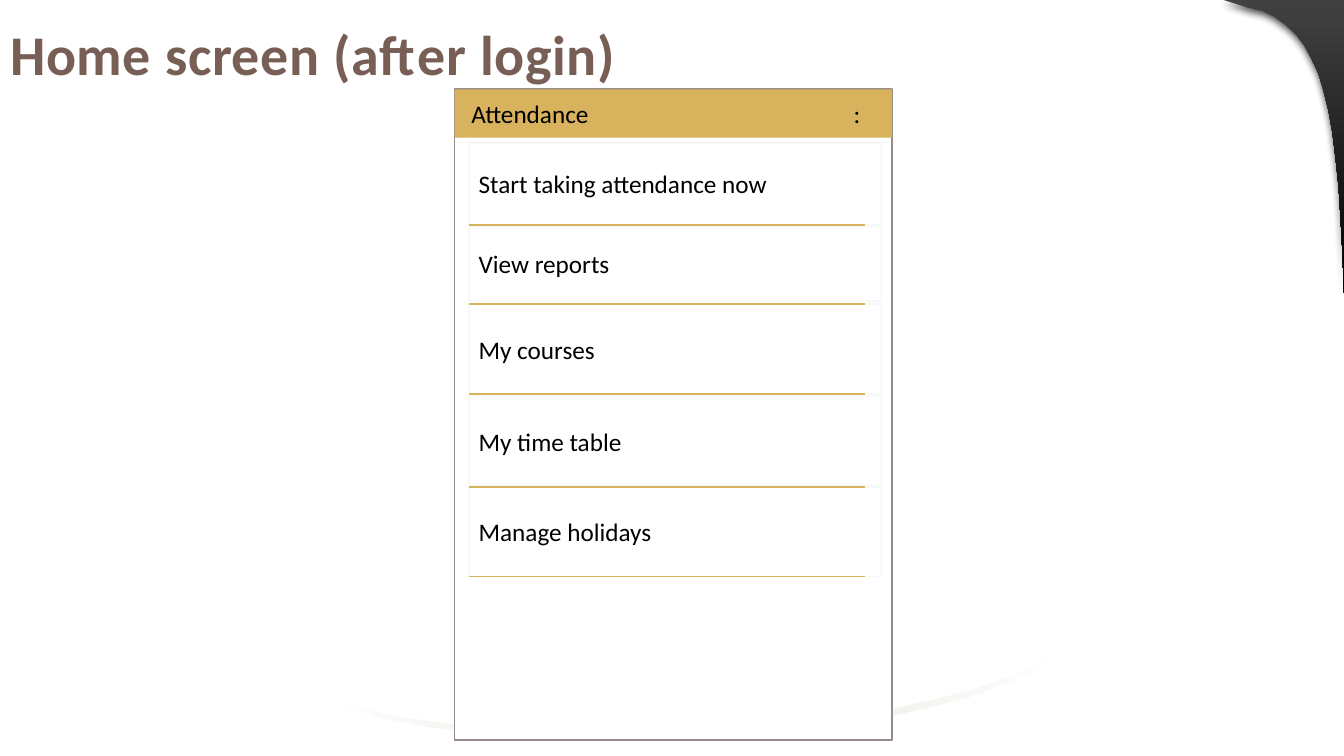
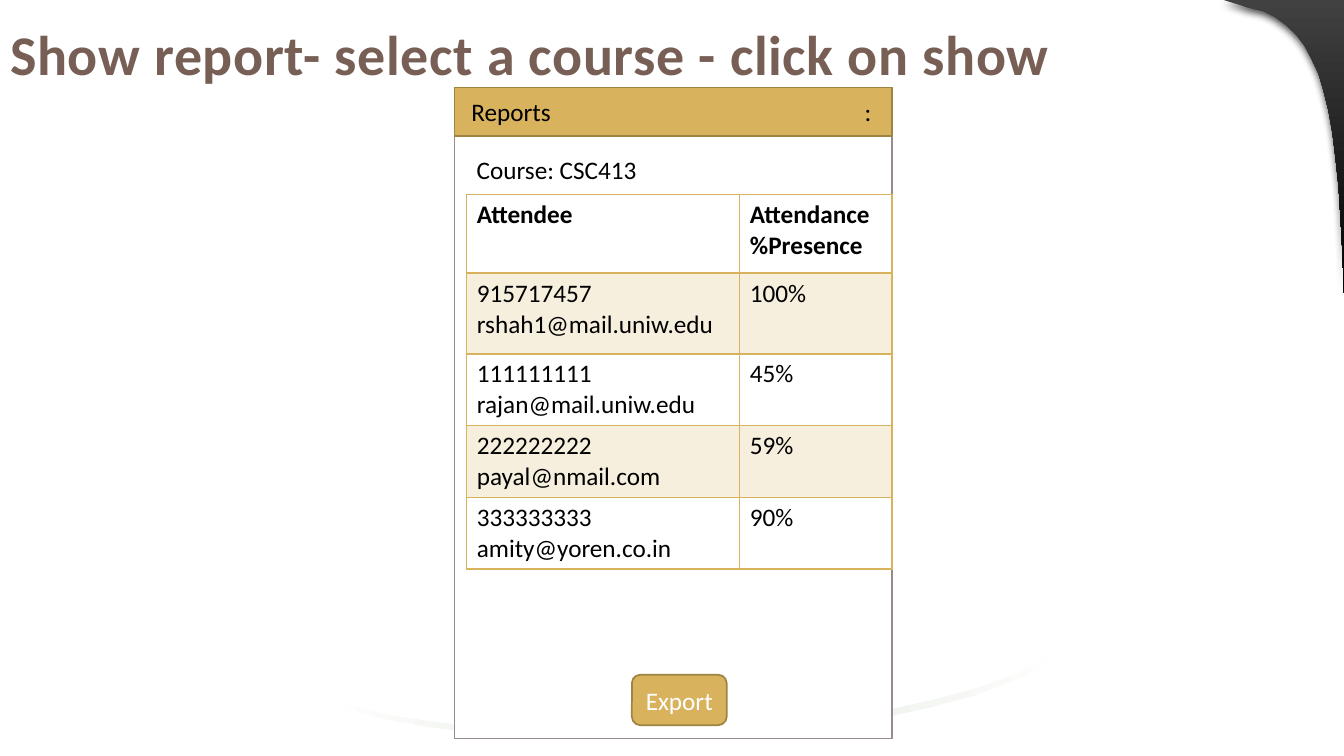
from typing import NamedTuple

from lxml.etree import SubElement
from pptx import Presentation
from pptx.dml.color import RGBColor
from pptx.enum.shapes import MSO_CONNECTOR, MSO_SHAPE
from pptx.enum.text import MSO_ANCHOR, MSO_AUTO_SIZE, PP_ALIGN
from pptx.oxml.ns import qn
from pptx.util import Pt

FONT = "Calibri"
BLACK = "000000"
WHITE = "FFFFFF"
GOLD = "D8B25C"
DARK_GOLD = "A08444"
PALE_GOLD = "F7EFDE"
PANEL_GREY = "968C8C"
ITEM_GREY = "F8F8F8"
TITLE_BROWN = "775F55"
ARC_GREEN = "E1E7DA"

PANEL_LEFT, PANEL_WIDTH, PANEL_HEIGHT = 324.7, 312.5, 465
HEADER_HEIGHT = 34.6
ITEM_LEFT, ITEM_WIDTH, RULE_RIGHT = 334.8, 294.5, 617.8

ARC = [
    (764.6, 456), (764.6, 460.8), (747.4, 474.5), (724.3, 486), (695.5, 496.8),
    (663.1, 505.4), (626.4, 513.4), (587.5, 519.1), (547.2, 523.4), (504.7, 526.3),
    (462.2, 527.8), (420.5, 527.8), (380.2, 526.3), (342, 523.4), (306, 519.1),
    (274.3, 513.4), (247, 505.4), (224.6, 496.8), (224.6, 495.4), (247.7, 503.3),
    (275.8, 510.5), (308.2, 515.5), (344.2, 519.8), (382.3, 522.7), (423.4, 523.5),
    (465.1, 523.5), (507.6, 522), (549.4, 518.4), (590.4, 514.1), (629.3, 508.3),
    (665.3, 500.4), (697.7, 491.8), (725, 481.7), (747.9, 469.5),
]
CORNER = [
    (874.1, 0), (960, 0), (960, 209.5), (959, 181.4), (957.6, 156.2), (956.2, 133.2),
    (954, 113), (951.8, 95), (949, 79.2), (945.4, 64.8), (941.8, 52.6), (936.7, 41.8),
    (931.7, 32.4), (925.9, 24.8), (918.7, 18), (910.8, 12.2), (902.2, 7.9),
    (892.1, 5.8), (885.6, 3.6),
]


class MenuItem(NamedTuple):
    label: str
    top: float
    height: float
    rule: float


class Attendee(NamedTuple):
    identity: str
    presence: str
    height: float


MENU = [
    MenuItem("Start taking attendance now", 102.2, 58.3, 160.6),
    MenuItem("View reports", 161.3, 54, 217.4),
    MenuItem("My courses", 217.4, 64.1, 281.5),
    MenuItem("My time table", 283, 64.1, 347.8),
    MenuItem("Manage holidays", 347.8, 64.1, 411.8),
]
REPORT = [
    Attendee("Attendee", "Attendance\n%Presence", 56.2),
    Attendee("915717457\nrshah1@mail.uniw.edu", "100%", 57.6),
    Attendee("111111111\nrajan@mail.uniw.edu", "45%", 51.2),
    Attendee("222222222\npayal@nmail.com", "59%", 51.2),
    Attendee("333333333\namity@yoren.co.in", "90%", 51.2),
]


def rgb(value: str) -> RGBColor:
    return RGBColor.from_string(value)


def write(frame, text: str, *, size=18, color=BLACK, bold=False, align=PP_ALIGN.LEFT,
          inset=7.2, tab=None) -> None:
    frame.word_wrap = True
    frame.margin_left = Pt(inset)
    for index, line in enumerate(text.split("\n")):
        paragraph = frame.add_paragraph() if index else frame.paragraphs[0]
        paragraph.alignment = align
        run = paragraph.add_run()
        run.text = line
        run.font.name = FONT
        run.font.size = Pt(size)
        run.font.bold = bold
        run.font.color.rgb = rgb(color)
        if tab:
            properties = paragraph._p.get_or_add_pPr()
            stops = SubElement(properties, qn("a:tabLst"))
            SubElement(stops, qn("a:tab"), pos=str(Pt(tab)), algn="l")


def box(slide, left: float, top: float, width: float, height: float, fill: str,
        line=None, preset=MSO_SHAPE.RECTANGLE, text="", **style):
    shape = slide.shapes.add_shape(preset, Pt(left), Pt(top), Pt(width), Pt(height))
    shape.shadow.inherit = False
    shape.fill.solid()
    shape.fill.fore_color.rgb = rgb(fill)
    if line:
        shape.line.color.rgb = rgb(line)
        shape.line.width = Pt(1.25)
    else:
        shape.line.fill.background()
    if text:
        shape.text_frame.vertical_anchor = MSO_ANCHOR.MIDDLE
        write(shape.text_frame, text, **style)
    return shape


def add_shadow(effects, blur: float, distance: float, angle: int, alpha: int) -> None:
    shadow = SubElement(effects, qn("a:outerShdw"), blurRad=str(Pt(blur)),
                        dist=str(Pt(distance)), dir=str(angle * 60000), rotWithShape="0")
    color = SubElement(shadow, qn("a:srgbClr"), val=BLACK)
    SubElement(color, qn("a:alpha"), val=str(alpha * 1000))


def outline(slide, points: list, stops: list, angle: int):
    vertices = [(Pt(x), Pt(y)) for x, y in points]
    builder = slide.shapes.build_freeform(*vertices[0], scale=1.0)
    builder.add_line_segments(vertices[1:], close=True)
    shape = builder.convert_to_shape()
    shape.line.fill.background()
    shape.shadow.inherit = False
    shape.fill.background()
    properties = shape.element.find(qn("p:spPr"))
    gradient = SubElement(properties, qn("a:gradFill"))
    stop_list = SubElement(gradient, qn("a:gsLst"))
    for position, color in stops:
        stop = SubElement(stop_list, qn("a:gs"), pos=str(position * 1000))
        SubElement(stop, qn("a:srgbClr"), val=color)
    SubElement(gradient, qn("a:lin"), ang=str(angle * 60000), scaled="0")
    properties.replace(properties.find(qn("a:noFill")), gradient)
    return shape


def decorate(layout, slide) -> None:
    arc = outline(slide, ARC, [(0, WHITE), (50, ARC_GREEN), (100, WHITE)], 0)
    corner = outline(slide, CORNER, [(0, "414141"), (100, BLACK)], 90)
    effects = corner.element.find(qn("p:spPr")).find(qn("a:effectLst"))
    add_shadow(effects, 6, 3, 90, 75)
    for ornament in (arc, corner):
        layout.shapes.element.append(ornament.element)


def add_title(slide, text: str) -> None:
    title = slide.shapes.title
    title.left, title.top, title.width, title.height = Pt(0), Pt(0), Pt(815), Pt(76.3)
    title.text_frame.auto_size = MSO_AUTO_SIZE.NONE
    title.text_frame.vertical_anchor = MSO_ANCHOR.MIDDLE
    write(title.text_frame, text, size=40, color=TITLE_BROWN, bold=True)
    properties = title.text_frame.paragraphs[0].runs[0].font._element
    properties.set("spc", "50")
    effects = SubElement(properties, qn("a:effectLst"))
    properties.find(qn("a:solidFill")).addnext(effects)
    add_shadow(effects, 4, 3, 45, 40)


def add_panel(slide, top: float, heading: str, header_line, tab: float) -> None:
    box(slide, PANEL_LEFT, top, PANEL_WIDTH, PANEL_HEIGHT, WHITE, PANEL_GREY)
    box(slide, PANEL_LEFT, top, PANEL_WIDTH, HEADER_HEIGHT, GOLD, header_line,
        text=f"{heading}\t:", inset=12, tab=tab)


def add_rule(slide, y: float) -> None:
    rule = slide.shapes.add_connector(MSO_CONNECTOR.STRAIGHT, Pt(ITEM_LEFT), Pt(y),
                                      Pt(RULE_RIGHT), Pt(y))
    rule.line.color.rgb = rgb(GOLD)
    rule.line.width = Pt(1.25)
    SubElement(rule.element.find(qn("p:spPr")), qn("a:effectLst"))


def set_borders(cell, bottom: float, top: float) -> None:
    properties = cell._tc.get_or_add_tcPr()
    for side, width in (("L", 1), ("R", 1), ("T", top), ("B", bottom)):
        border = SubElement(properties, qn(f"a:ln{side}"), w=str(Pt(width)))
        fill = SubElement(border, qn("a:solidFill"))
        SubElement(fill, qn("a:srgbClr"), val=GOLD)


def add_report(slide) -> None:
    total = sum(attendee.height for attendee in REPORT)
    table = slide.shapes.add_table(len(REPORT), 2, Pt(333.4), Pt(139), Pt(303.8),
                                   Pt(total)).table
    table.first_row = table.horz_banding = False
    for column, width in zip(table.columns, (195.1, 108.7)):
        column.width = Pt(width)
    for index, attendee in enumerate(REPORT):
        table.rows[index].height = Pt(attendee.height)
        for column, text in enumerate((attendee.identity, attendee.presence)):
            cell = table.cell(index, column)
            write(cell.text_frame, text, bold=index == 0)
            set_borders(cell, bottom=2 if index == 0 else 1, top=2 if index == 1 else 1)
            if index % 2:
                cell.fill.solid()
                cell.fill.fore_color.rgb = rgb(PALE_GOLD)
            else:
                cell.fill.background()


def build_home(slide) -> None:
    add_title(slide, "Home screen (after login)")
    add_panel(slide, 63.8, "Attendance", None, 273)
    for item in MENU:
        box(slide, ITEM_LEFT, item.top, ITEM_WIDTH, item.height, WHITE, ITEM_GREY,
            text=item.label)
    for item in MENU:
        add_rule(slide, item.rule)


def build_report(slide) -> None:
    add_title(slide, "Show report- select a course - click on show")
    add_panel(slide, 62.6, "Reports", DARK_GOLD, 281)
    add_report(slide)
    box(slide, 451.4, 482, 67.7, 36, GOLD, DARK_GOLD, MSO_SHAPE.ROUNDED_RECTANGLE,
        "Export", color=WHITE, align=PP_ALIGN.CENTER)
    course = slide.shapes.add_textbox(Pt(333.4), Pt(106), Pt(175.7), Pt(30.2))
    course.text_frame.vertical_anchor = MSO_ANCHOR.MIDDLE
    write(course.text_frame, "Course: CSC413")


def main() -> None:
    deck = Presentation()
    deck.slide_width, deck.slide_height = Pt(960), Pt(540)
    layout = deck.slide_layouts[5]
    home = deck.slides.add_slide(layout)
    decorate(layout, home)
    build_home(home)
    build_report(deck.slides.add_slide(layout))
    deck.save("out.pptx")


if __name__ == "__main__":
    main()
